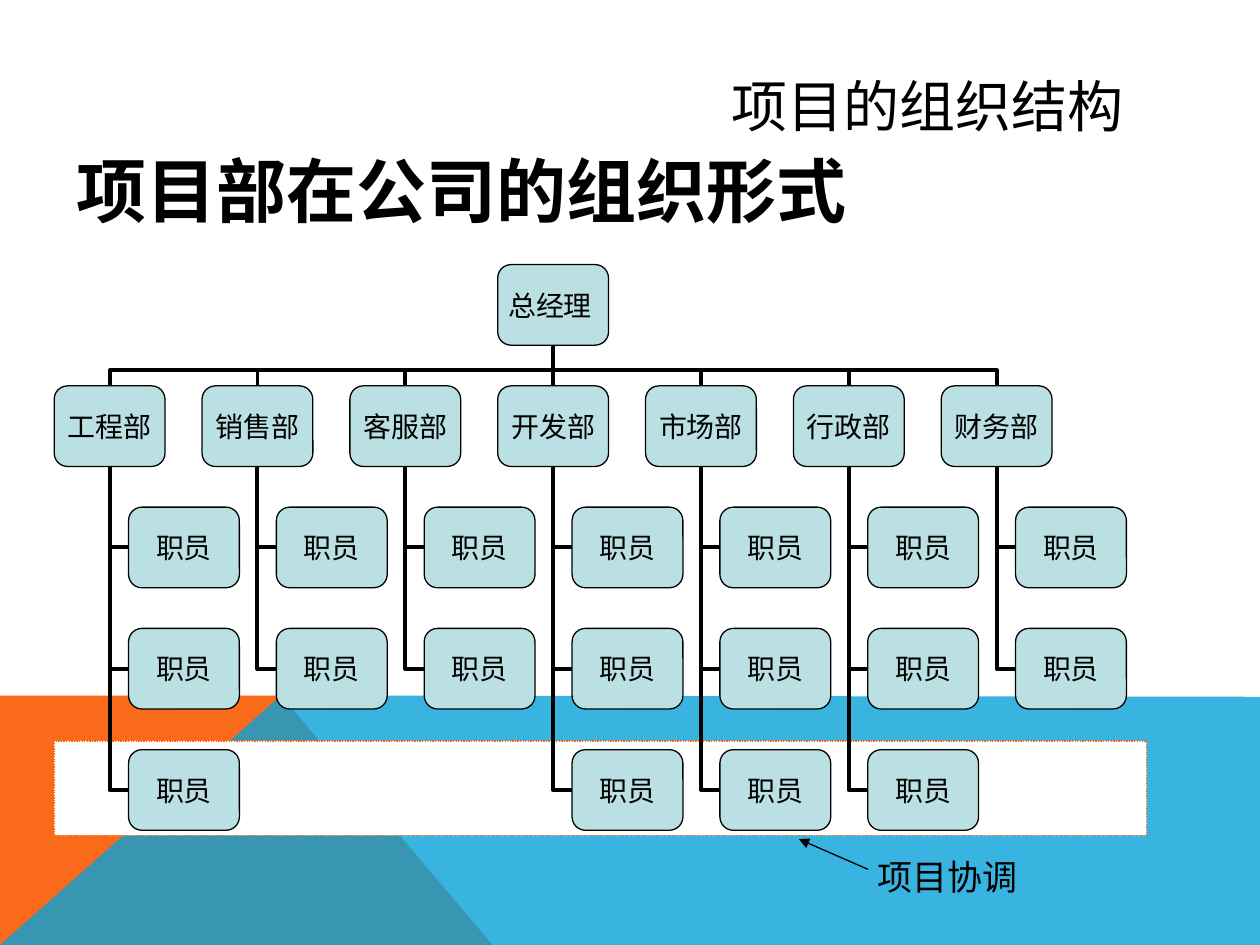
from lxml import etree
from pptx import Presentation
from pptx.dml.color import RGBColor
from pptx.enum import dml, shapes, text
from pptx.oxml import ns
from pptx.util import Inches, Pt

COLORS = {"black": "000000", "white": "FFFFFF", "orange": "F96A1B", "blue": "08A1D9",
          "box": "BBE0E3", "dots": "FF6600"}
COLORS = {name: RGBColor.from_string(value) for name, value in COLORS.items()}


def add_line(parent, kind, begin, end, width):
    line = parent.shapes.add_connector(kind, *[Inches(v) for v in begin + end])
    line.line.color.rgb = COLORS["black"]
    line.line.width = Pt(width)
    etree.SubElement(line._element.spPr, ns.qn("a:effectLst"))
    return line


def write(shape, words, size, font, align):
    para = shape.text_frame.paragraphs[0]
    para.alignment = align
    span = para.add_run()
    span.text = words
    span.font.size = Pt(size)
    span.font.name = font
    span.font.color.rgb = COLORS["black"]
    return span


deck = Presentation()
deck.slide_width, deck.slide_height = Inches(10), Inches(7.5)
page = deck.slides.add_slide(deck.slide_layouts[5])

# Coloured bands along the bottom
bands = [("orange", [(0, 7.5), (0, 5.52), (2.23, 5.52), (3.91, 7.5)]),
         ("blue", [(0, 7.5), (2.23, 5.52), (10, 5.53), (10, 7.5)])]
for color, points in bands:
    corners = [(Inches(x), Inches(y)) for x, y in points]
    builder = page.shapes.build_freeform(*corners[0])
    builder.add_line_segments(corners[1:], close=True)
    band = builder.convert_to_shape()
    band.shadow.inherit = False
    band.fill.solid()
    band.fill.fore_color.rgb = COLORS[color]
    band.line.fill.background()
    if color == "blue":
        fill_color = band._element.spPr.find(".//" + ns.qn("a:srgbClr"))
        etree.SubElement(fill_color, ns.qn("a:alpha"), val="80000")

# Dotted frame around the coordinating staff
frame = page.shapes.add_shape(shapes.MSO_SHAPE.RECTANGLE, Inches(0.43), Inches(5.88),
                              Inches(8.67), Inches(0.75))
frame.shadow.inherit = False
frame.fill.solid()
frame.fill.fore_color.rgb = COLORS["white"]
frame.line.color.rgb = COLORS["dots"]
frame.line.width = Pt(0.75)
frame.line.dash_style = dml.MSO_LINE.ROUND_DOT

title = page.shapes.title
title.left, title.top = Inches(0), Inches(1.07)
title.width, title.height = Inches(8.27), Inches(0.87)
title.text_frame.auto_size = text.MSO_AUTO_SIZE.NONE
title.text_frame.vertical_anchor = text.MSO_ANCHOR.MIDDLE
title.text_frame.margin_left = Inches(0.61)
write(title, "项目部在公司的组织形式", 40, "Roboto", text.PP_ALIGN.LEFT).font.bold = True

# Organisation chart: each department with its number of staff
departments = [("工程部", 3), ("销售部", 2), ("客服部", 2), ("开发部", 3),
               ("市场部", 3), ("行政部", 3), ("财务部", 2)]
LEFT, TOP, BOX_W, BOX_H = 0.43, 2.1, 0.88, 0.64
COLUMN_STEP, ROW_STEP = 7.04 / 6, 3.85 / 4
STAFF_INDENT = 0.59
manager_x = LEFT + 3 * COLUMN_STEP
department_y = TOP + ROW_STEP
gap = ROW_STEP - BOX_H
chart = page.shapes.add_group_shape()
boxes = [("总经理 ", manager_x, TOP)]

for column, (name, staff) in enumerate(departments):
    x = LEFT + column * COLUMN_STEP
    boxes.append((name, x, department_y))

    # Elbow up to the manager: laid out sideways, then turned a quarter
    mid_x = (x + manager_x + BOX_W) / 2
    mid_y = department_y - gap / 2
    reach = abs(x - manager_x) / 2
    side = 1 if column < 3 else -1
    elbow = add_line(chart, shapes.MSO_CONNECTOR.ELBOW,
                     (mid_x + side * gap / 2, mid_y + reach),
                     (mid_x - side * gap / 2, mid_y - reach), 2.25)
    properties = elbow._element.spPr
    properties.xfrm.set("rot", "5400000" if side == 1 else "16200000")
    guides = properties.find(".//" + ns.qn("a:avLst"))
    etree.SubElement(guides, ns.qn("a:gd"), name="adj1", fmla="val 38700")

    # Elbows down to the staff
    trunk_x = x + BOX_W / 2
    for row in range(1, staff + 1):
        staff_y = department_y + row * ROW_STEP
        boxes.append(("职员", x + STAFF_INDENT, staff_y))
        elbow = add_line(chart, shapes.MSO_CONNECTOR.ELBOW, (trunk_x, department_y + BOX_H),
                         (x + STAFF_INDENT, staff_y + BOX_H / 2), 2.25)
        properties = elbow._element.spPr
        properties.xfrm.set("rot", "10800000")
        properties.find(ns.qn("a:prstGeom")).set("prst", "bentConnector2")

for name, x, y in boxes:
    box = chart.shapes.add_shape(shapes.MSO_SHAPE.ROUNDED_RECTANGLE, Inches(x), Inches(y),
                                 Inches(BOX_W), Inches(BOX_H))
    box.shadow.inherit = False
    box.fill.solid()
    box.fill.fore_color.rgb = COLORS["box"]
    box.line.color.rgb = COLORS["black"]
    box.line.width = Pt(0.75)
    body = box.text_frame
    body.margin_left = body.margin_right = body.margin_top = body.margin_bottom = 0
    body.vertical_anchor = text.MSO_ANCHOR.MIDDLE
    write(box, name, 16, "Times New Roman", text.PP_ALIGN.CENTER)

# Callout and section heading
arrow = add_line(page, shapes.MSO_CONNECTOR.STRAIGHT, (6.89, 6.9), (6.34, 6.66), 0.75)
etree.SubElement(arrow.line._get_or_add_ln(), ns.qn("a:tailEnd"), type="triangle")

labels = [("项目协调", 20, (6.81, 6.74, 1.42, 0.44)),
          ("项目的组织结构", 32, (5.66, 0.52, 3.41, 0.64))]
for words, size, place in labels:
    label = page.shapes.add_textbox(*[Inches(v) for v in place])
    label.text_frame.word_wrap = True
    label.text_frame.auto_size = text.MSO_AUTO_SIZE.SHAPE_TO_FIT_TEXT
    write(label, words, size, "Roboto", text.PP_ALIGN.CENTER)

deck.save("out.pptx")
